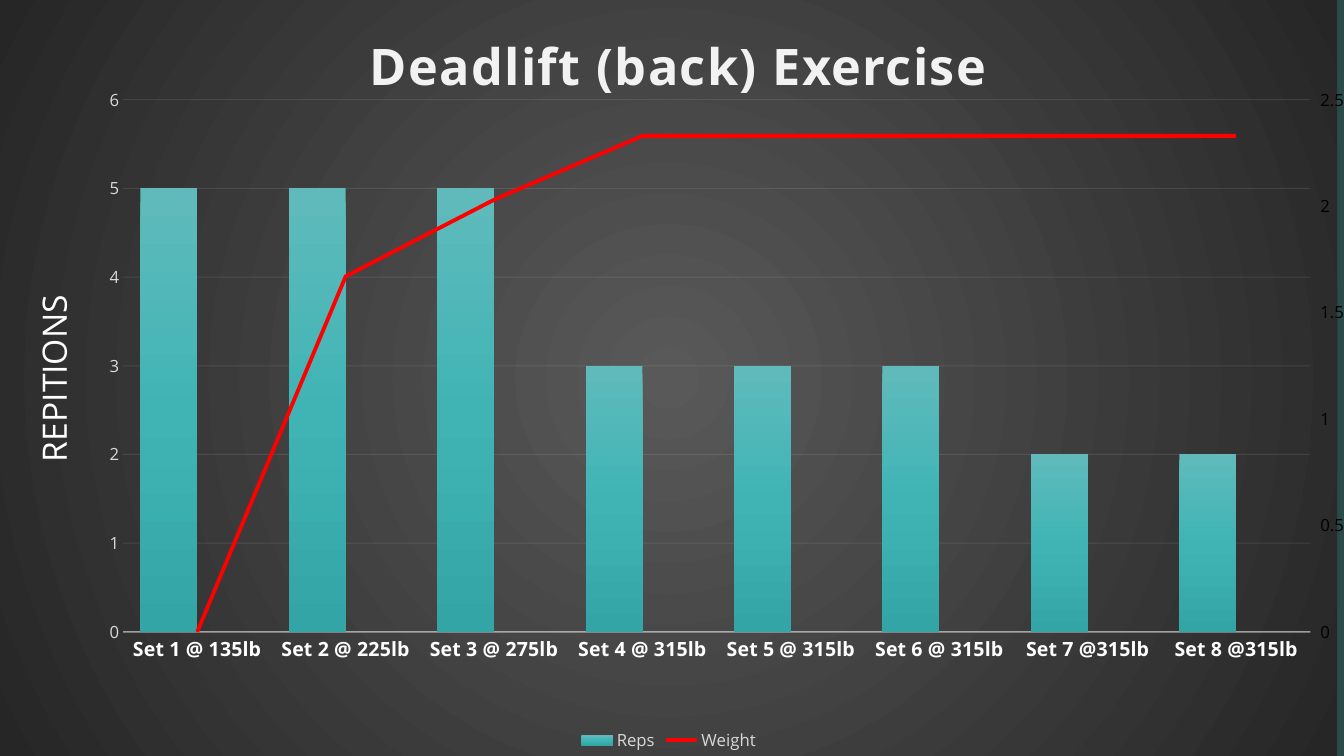
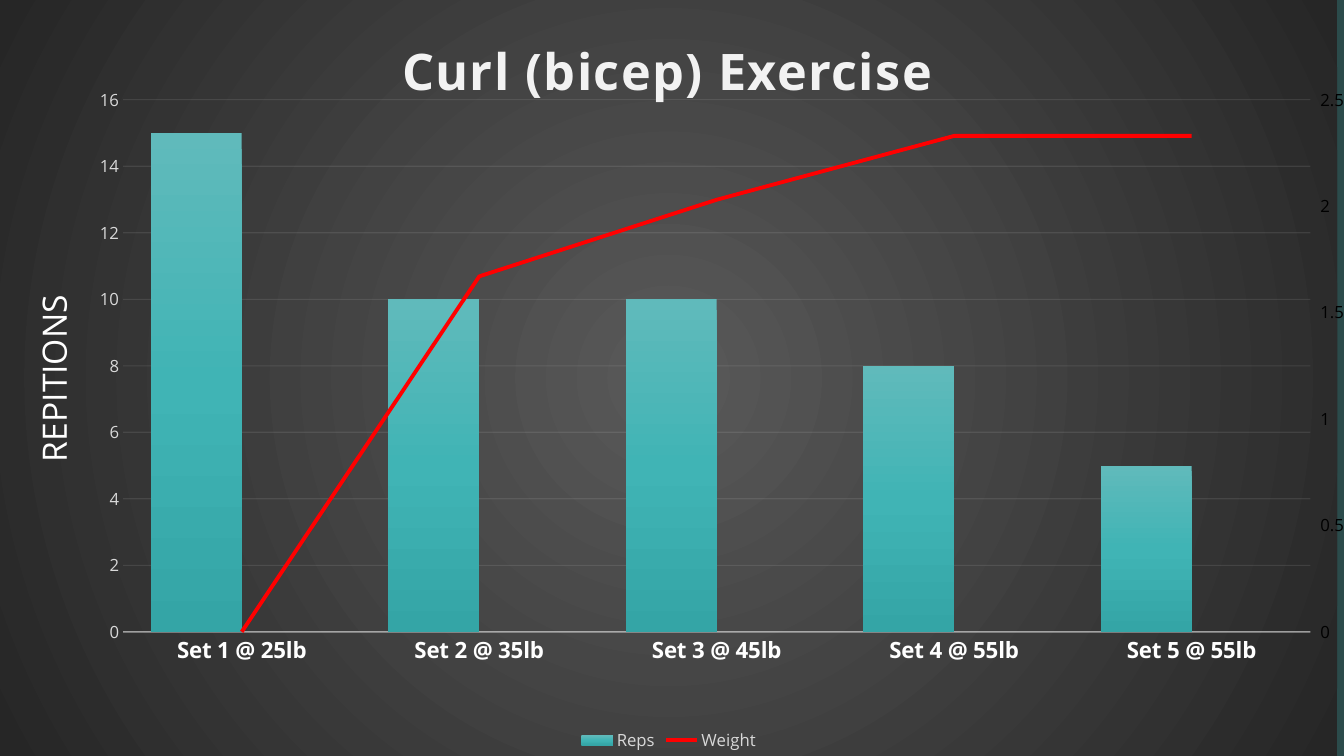
from lxml.etree import SubElement
from pptx import Presentation
from pptx.chart.data import CategoryChartData
from pptx.dml.color import RGBColor
from pptx.enum.chart import XL_CHART_TYPE, XL_LEGEND_POSITION, XL_TICK_MARK
from pptx.enum.text import MSO_ANCHOR, PP_ALIGN
from pptx.oxml import parse_xml
from pptx.oxml.ns import nsdecls, qn
from pptx.util import Inches, Pt

NS = nsdecls("c", "a")
RIGHT_CAT_ID, RIGHT_VAL_ID = 50010, 50020


def rgb(value):
    return RGBColor.from_string(value)


def set_font(font, size, color, name, bold=False):
    font.size, font.name, font.bold = Pt(size), name, bold
    font.color.rgb = rgb(color)


def gradient_xml(stops, direction):
    marks = "".join(
        f'<a:gs pos="{position * 1000}"><a:srgbClr val="{color}"/></a:gs>'
        for position, color in stops
    )
    return f"<a:gradFill {NS}><a:gsLst>{marks}</a:gsLst>{direction}</a:gradFill>"


def fade(axis, query, percent):
    for color in axis._element.xpath(query):
        SubElement(color, qn("a:alpha")).set("val", str(percent * 1000))


class WorkoutDeck:
    font = "Open Sans"
    backdrop = "2B4B4B"
    white, title_color, muted = "FFFFFF", "F2F2F2", "D9D9D9"
    weight_color = "FF0000"
    vertical = '<a:lin ang="5400000" scaled="0"/>'
    radial = ('<a:path path="circle"><a:fillToRect l="50000" t="50000" '
              'r="50000" b="50000"/></a:path>')
    chart_stops = [(0, "595959"), (100, "262626")]
    bar_stops = [
        [(0, "60BABB"), (50, "40B4B5"), (100, "34A5A6")],
        [(0, "5A8DBC"), (50, "357FB7"), (100, "2A71A8")],
    ]
    plot_box = {"x": 0.092, "y": 0.132, "w": 0.888, "h": 0.704}

    def __init__(self):
        self.deck = Presentation()
        self.deck.slide_width, self.deck.slide_height = Inches(13.33), Inches(7.5)
        fill = self.deck.slide_master.background.fill
        fill.solid()
        fill.fore_color.rgb = rgb(self.backdrop)
        self.slide = None

    def add_slide(self):
        self.slide = self.deck.slides.add_slide(self.deck.slide_layouts[5])

    def add_title(self, text, center_x, center_y):
        title = self.slide.shapes.title
        title.width, title.height = Inches(8), Inches(0.8)
        title.left, title.top = Inches(center_x - 4), Inches(center_y - 0.4)
        title.text_frame.text = text
        title.text_frame.vertical_anchor = MSO_ANCHOR.MIDDLE
        paragraph = title.text_frame.paragraphs[0]
        paragraph.alignment = PP_ALIGN.CENTER
        set_font(paragraph.font, 36, self.title_color, self.font, True)
        paragraph.runs[0].font._element.set("spc", "100")
        self.slide.shapes._spTree.append(title._element)

    def add_side_label(self, text):
        label = self.slide.shapes.add_textbox(
            Inches(-2.23), Inches(3.37), Inches(5.52), Inches(0.77))
        label.rotation = 270
        label.text_frame.word_wrap = True
        label.text_frame.vertical_anchor = MSO_ANCHOR.MIDDLE
        label.text_frame.text = text
        paragraph = label.text_frame.paragraphs[0]
        paragraph.alignment = PP_ALIGN.CENTER
        set_font(paragraph.font, 24, self.white, self.font)

    def add_chart(self, sets, reps, weights, top, step, set_size):
        data = CategoryChartData()
        data.categories = sets
        data.add_series("Reps", reps)
        data.add_series("Series 2", [None] * len(sets))
        data.add_series("Weight", weights)
        chart = self.slide.shapes.add_chart(
            XL_CHART_TYPE.COLUMN_CLUSTERED, 0, 0,
            self.deck.slide_width, self.deck.slide_height, data).chart
        chart.has_title = False
        set_font(chart.font, 10, "000000", self.font)
        chart._chartSpace.find(qn("c:chart")).addnext(parse_xml(
            f"<c:spPr {NS}>{gradient_xml(self.chart_stops, self.radial)}"
            "<a:ln><a:noFill/></a:ln></c:spPr>"))
        self.style_axes(chart, top, step, set_size)
        self.style_bars(chart.plots[0])
        self.place_plot(chart)
        self.add_legend(chart)
        self.move_weight_to_right_axis(chart)

    def style_axes(self, chart, top, step, set_size):
        set_axis, reps_axis = chart.category_axis, chart.value_axis
        for axis in (set_axis, reps_axis):
            axis.major_tick_mark = axis.minor_tick_mark = XL_TICK_MARK.NONE
        set_font(set_axis.tick_labels.font, set_size, self.white, self.font, True)
        set_font(reps_axis.tick_labels.font, 12, self.muted, self.font)
        reps_axis.minimum_scale, reps_axis.maximum_scale = 0, top
        reps_axis.major_unit = step
        reps_axis.format.line.fill.background()
        grid = reps_axis.major_gridlines.format.line
        for line, width in ((set_axis.format.line, 1), (grid, 0.75)):
            line.color.rgb = rgb(self.title_color)
            line.width = Pt(width)
        fade(set_axis, "c:spPr//a:srgbClr", 54)
        fade(reps_axis, "c:majorGridlines//a:srgbClr", 10)

    def style_bars(self, plot):
        plot.gap_width, plot.overlap = 61, 0
        plot.vary_by_categories = False
        for series, stops in zip(plot.series, self.bar_stops):
            series.format.fill.background()
            no_fill = series._element.find(qn("c:spPr")).find(qn("a:noFill"))
            no_fill.getparent().replace(
                no_fill, parse_xml(gradient_xml(stops, self.vertical)))

    def place_plot(self, chart):
        area = chart._chartSpace.chart.plotArea
        for layout in area.findall(qn("c:layout")):
            area.remove(layout)
        sizes = "".join(f'<c:{side} val="{share}"/>'
                        for side, share in self.plot_box.items())
        area.insert(0, parse_xml(
            f'<c:layout {NS}><c:manualLayout><c:layoutTarget val="inner"/>'
            f'<c:xMode val="edge"/><c:yMode val="edge"/>{sizes}'
            "</c:manualLayout></c:layout>"))

    def add_legend(self, chart):
        chart.has_legend = True
        legend = chart.legend
        legend.position = XL_LEGEND_POSITION.BOTTOM
        legend.include_in_layout = False
        set_font(legend.font, 12, self.muted, self.font)
        legend._element.find(qn("c:legendPos")).addnext(parse_xml(
            f'<c:legendEntry {NS}><c:idx val="1"/><c:delete val="1"/></c:legendEntry>'))

    def move_weight_to_right_axis(self, chart):
        area = chart._chartSpace.chart.plotArea
        weight = chart.plots[0].series[2]._element
        for invert in weight.findall(qn("c:invertIfNegative")):
            weight.remove(invert)
        line_chart = parse_xml(
            f'<c:lineChart {NS}><c:grouping val="standard"/><c:varyColors val="0"/>'
            f'<c:marker val="1"/><c:axId val="{RIGHT_CAT_ID}"/>'
            f'<c:axId val="{RIGHT_VAL_ID}"/></c:lineChart>')
        line_chart.insert(2, weight)
        area.find(qn("c:barChart")).addnext(line_chart)
        weight.find(qn("c:tx")).addnext(
            parse_xml(f'<c:marker {NS}><c:symbol val="none"/></c:marker>'))
        line = chart.plots[1].series[0]
        line.smooth = False
        line.format.line.color.rgb = rgb(self.weight_color)
        line.format.line.width = Pt(2.75)
        scaling = '<c:scaling><c:orientation val="minMax"/>{}</c:scaling>'
        right_values = parse_xml(
            f'<c:valAx {NS}><c:axId val="{RIGHT_VAL_ID}"/>'
            + scaling.format('<c:max val="2.5"/><c:min val="0"/>')
            + '<c:delete val="0"/><c:axPos val="r"/>'
            '<c:numFmt formatCode="General" sourceLinked="0"/>'
            '<c:majorTickMark val="out"/><c:minorTickMark val="none"/>'
            '<c:tickLblPos val="nextTo"/><c:spPr><a:ln><a:noFill/></a:ln></c:spPr>'
            '<c:txPr><a:bodyPr/><a:p><a:pPr><a:defRPr sz="1200">'
            f'<a:latin typeface="{self.font}"/></a:defRPr></a:pPr></a:p></c:txPr>'
            f'<c:crossAx val="{RIGHT_CAT_ID}"/><c:crosses val="max"/>'
            '<c:crossBetween val="between"/><c:majorUnit val="0.5"/></c:valAx>')
        right_sets = parse_xml(
            f'<c:catAx {NS}><c:axId val="{RIGHT_CAT_ID}"/>' + scaling.format("")
            + '<c:delete val="1"/><c:axPos val="b"/>'
            f'<c:crossAx val="{RIGHT_VAL_ID}"/><c:crosses val="autoZero"/></c:catAx>')
        left_values = area.find(qn("c:valAx"))
        left_values.addnext(right_sets)
        left_values.addnext(right_values)


def main():
    deadlift_sets = [f"Set {number} @ {pounds}lb" for number, pounds
                     in enumerate([135, 225, 275, 315, 315, 315], 1)]
    deadlift_sets += ["Set 7 @315lb", "Set 8 @315lb"]
    curl_sets = [f"Set {number} @ {pounds}lb" for number, pounds
                 in enumerate([25, 35, 45, 55, 55], 1)]
    weight_climb = [0, 1.67, 2.03]
    exercises = [
        (("Deadlift (back) Exercise", 6.73, 0.65),
         (deadlift_sets, [5, 5, 5, 3, 3, 3, 2, 2], weight_climb + [2.33] * 5, 6, 1, 14)),
        (("Curl (bicep) Exercise", 6.62, 0.7),
         (curl_sets, [15, 10, 10, 8, 5], weight_climb + [2.33] * 2, 16, 2, 16)),
    ]
    workout = WorkoutDeck()
    for heading, results in exercises:
        workout.add_slide()
        workout.add_chart(*results)
        workout.add_title(*heading)
        workout.add_side_label("REPITIONS")
    workout.deck.save("out.pptx")


if __name__ == "__main__":
    main()
